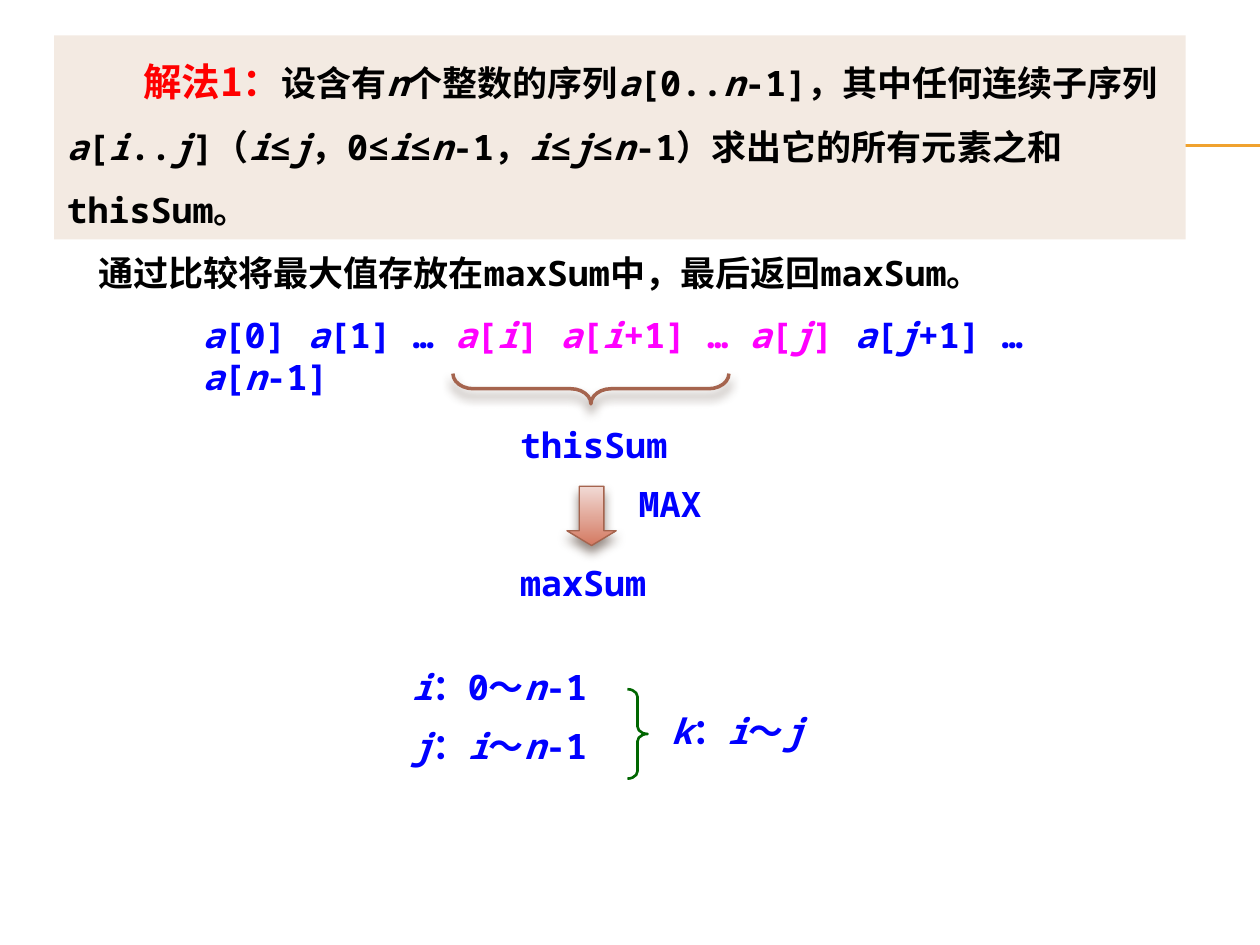
from lxml import etree
from pptx import Presentation
from pptx import util as u
from pptx.dml.color import RGBColor
from pptx.enum import shapes, text
from pptx.oxml import ns

COLORS = {
    "black": "000000", "red": "FF0000", "blue": "0000FF", "magenta": "FF00FF",
    "panel": "F3EAE2", "gold": "F0A22E", "brown": "A5644E", "green": "006600",
    "shadow": "4E3B30", "arrow_top": "F1D9D4", "arrow_bottom": "D47A62",
}
MONO, CJK = "Noto Sans Mono", "Noto Sans CJK SC"

# A paragraph is a list of (colour, text); *asterisks* mark italics.
HEADING = "解法1："
INTRO = [
    (0.61, [("red", HEADING),
            ("black", "设含有*n*个整数的序列*a*[0..*n*-1]，其中任何连续子序列*a*[*i*..*j*]"
                      "（*i*≤*j*，0≤*i*≤*n*-1，*i*≤*j*≤*n*-1）求出它的所有元素之和thisSum。")]),
    (0.25, [("black", "通过比较将最大值存放在maxSum中，最后返回maxSum。")]),
]
LABELS = [
    ((1.51, 2.44, 7.4, 0.44), [[("blue", "*a*[0] *a*[1] … "),
                                ("magenta", "*a*[*i*] *a*[*i*+1] … *a*[*j*] "),
                                ("blue", "*a*[*j*+1] … *a*[*n*-1]")]]),
    ((4.03, 3.31, 1.65, 0.44), [[("blue", "thisSum")]]),
    ((4.97, 3.78, 1.02, 0.44), [[("blue", "MAX")]]),
    ((4.03, 4.41, 1.81, 0.44), [[("blue", "maxSum")]]),
    ((3.17, 5.23, 1.89, 0.94), [[("blue", "*i*：0～*n*-1")], [("blue", "*j*：*i*～*n*-1")]]),
    ((5.23, 5.58, 1.73, 0.44), [[("blue", "*k*：*i*～*j*")]]),
]


def color(name):
    """Return the named colour."""
    return RGBColor.from_string(COLORS[name])


def inches(numbers):
    """Turn plain numbers into lengths."""
    return [u.Inches(number) for number in numbers]


def write(para, parts):
    """Add coloured parts to a paragraph, with italics between asterisks."""
    for name, content in parts:
        heading = content == HEADING
        for index, piece in enumerate(content.split("*")):
            if not piece:
                continue
            span = para.add_run()
            span.text = piece
            font = span.font
            font.size = u.Pt(22 if heading else 20)
            font.name = CJK if heading else MONO
            font.bold, font.italic = True, index % 2 == 1
            font.color.rgb = color(name)
            east_asian = etree.SubElement(font._element, ns.qn("a:ea"))
            east_asian.set("typeface", font.name)


def add_shape(slide, kind, place, line=None, width=1.0, adjust=()):
    """Add a preset shape without fill or shadow."""
    shape = slide.shapes.add_shape(kind, *inches(place))
    shape.shadow.inherit = False
    shape.fill.background()
    if line:
        shape.line.color.rgb = color(line)
        shape.line.width = u.Pt(width)
    else:
        shape.line.fill.background()
    for index, value in enumerate(adjust):
        shape.adjustments[index] = value
    return shape


def add_shadow(shape):
    """Give a shape a soft shadow below it."""
    effects = shape._element.spPr.find(ns.qn("a:effectLst"))
    shadow = etree.SubElement(effects, ns.qn("a:outerShdw"), blurRad=str(u.Pt(6)),
                              dist=str(u.Pt(4)), dir="5400000", rotWithShape="0")
    tint = etree.SubElement(shadow, ns.qn("a:srgbClr"), val=COLORS["shadow"])
    etree.SubElement(tint, ns.qn("a:alpha"), val="60000")


def add_rule(slide, top):
    """Draw a thin gold line to the right edge."""
    rule = slide.shapes.add_connector(shapes.MSO_CONNECTOR.STRAIGHT,
                                      *inches((0.56, top, 10, top)))
    rule.line.color.rgb = color("gold")
    rule.line.width = u.Pt(0.75)
    etree.SubElement(rule._element.spPr, ns.qn("a:effectLst"))


def add_intro(slide):
    """Add the shaded panel with the explanation."""
    panel = add_shape(slide, shapes.MSO_SHAPE.RECTANGLE, (0.43, 0.28, 8.98, 1.62))
    panel.fill.solid()
    panel.fill.fore_color.rgb = color("panel")
    frame = panel.text_frame
    frame.word_wrap = True
    frame.vertical_anchor = text.MSO_ANCHOR.TOP
    for index, (indent, parts) in enumerate(INTRO):
        para = frame.add_paragraph() if index else frame.paragraphs[0]
        para.alignment = text.PP_ALIGN.LEFT
        para.line_spacing = u.Pt(36)
        para._p.get_or_add_pPr().set("indent", str(u.Inches(indent)))
        write(para, parts)


def add_label(slide, place, lines):
    """Add a text box with one paragraph per line."""
    box = slide.shapes.add_textbox(*inches(place))
    frame = box.text_frame
    frame.word_wrap = True
    for index, parts in enumerate(lines):
        para = frame.add_paragraph() if index else frame.paragraphs[0]
        if index:
            para.space_before = u.Pt(10)
        write(para, parts)


def add_arrow(slide):
    """Add the gradient arrow from thisSum to maxSum."""
    arrow = add_shape(slide, shapes.MSO_SHAPE.DOWN_ARROW, (4.5, 3.86, 0.39, 0.47),
                      "brown", 0.79, (0.5, 0.3))
    arrow.fill.gradient()
    arrow.fill.gradient_angle = 270
    for stop, name in zip(arrow.fill.gradient_stops, ("arrow_top", "arrow_bottom")):
        stop.color.rgb = color(name)
    first, last = arrow.fill.gradient_stops
    first.position, last.position = 0, 1
    add_shadow(arrow)


deck = Presentation()
deck.slide_width, deck.slide_height = inches((10, 7.5))
page = deck.slides.add_slide(deck.slide_layouts[6])
for rule_top in (1.15, 1.16):
    add_rule(page, rule_top)
add_intro(page)
sum_brace = add_shape(page, shapes.MSO_SHAPE.LEFT_BRACE, (4.57, 1.99, 0.24, 2.19),
                      "brown", 2, (0.67, 0.5))
sum_brace.rotation = 270
add_shadow(sum_brace)
add_arrow(page)
add_shape(page, shapes.MSO_SHAPE.RIGHT_BRACE, (4.98, 5.47, 0.16, 0.71),
          "green", 1.5, (0.37, 0.5))
for label_place, label_lines in LABELS:
    add_label(page, label_place, label_lines)
deck.save("out.pptx")
